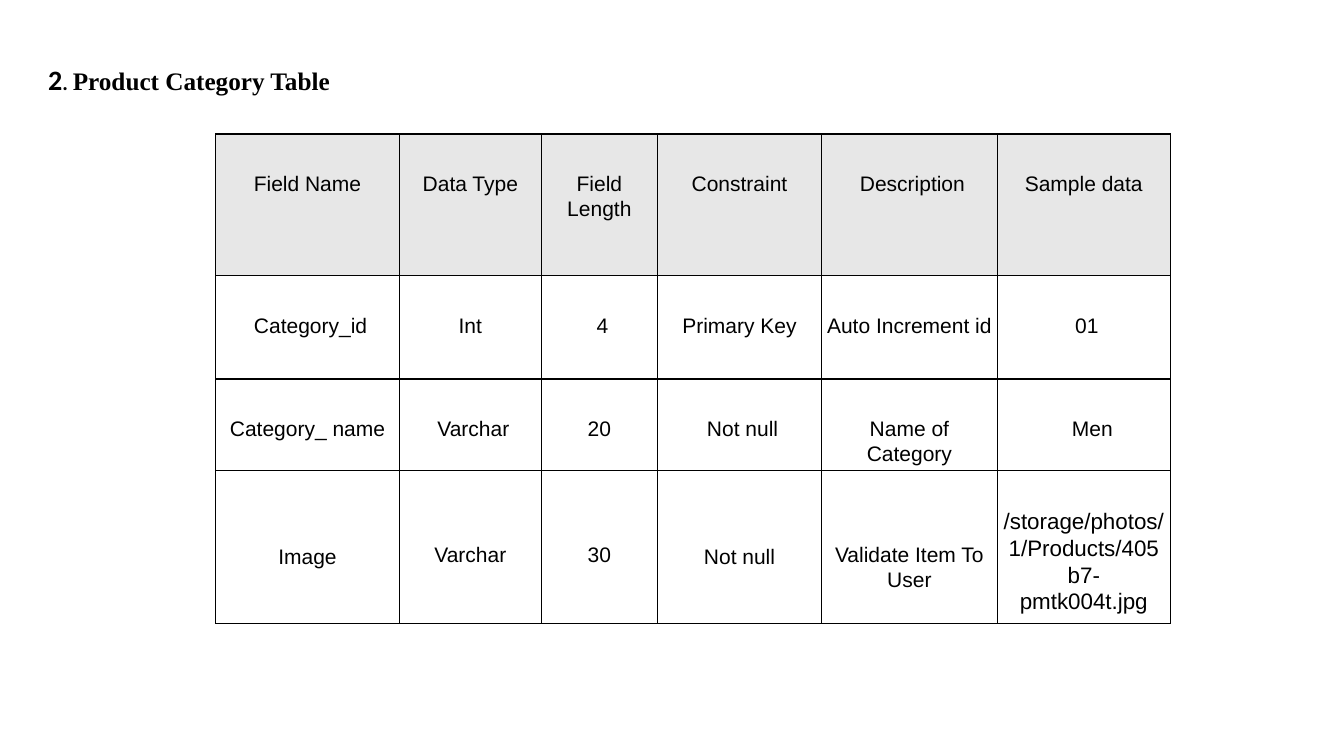
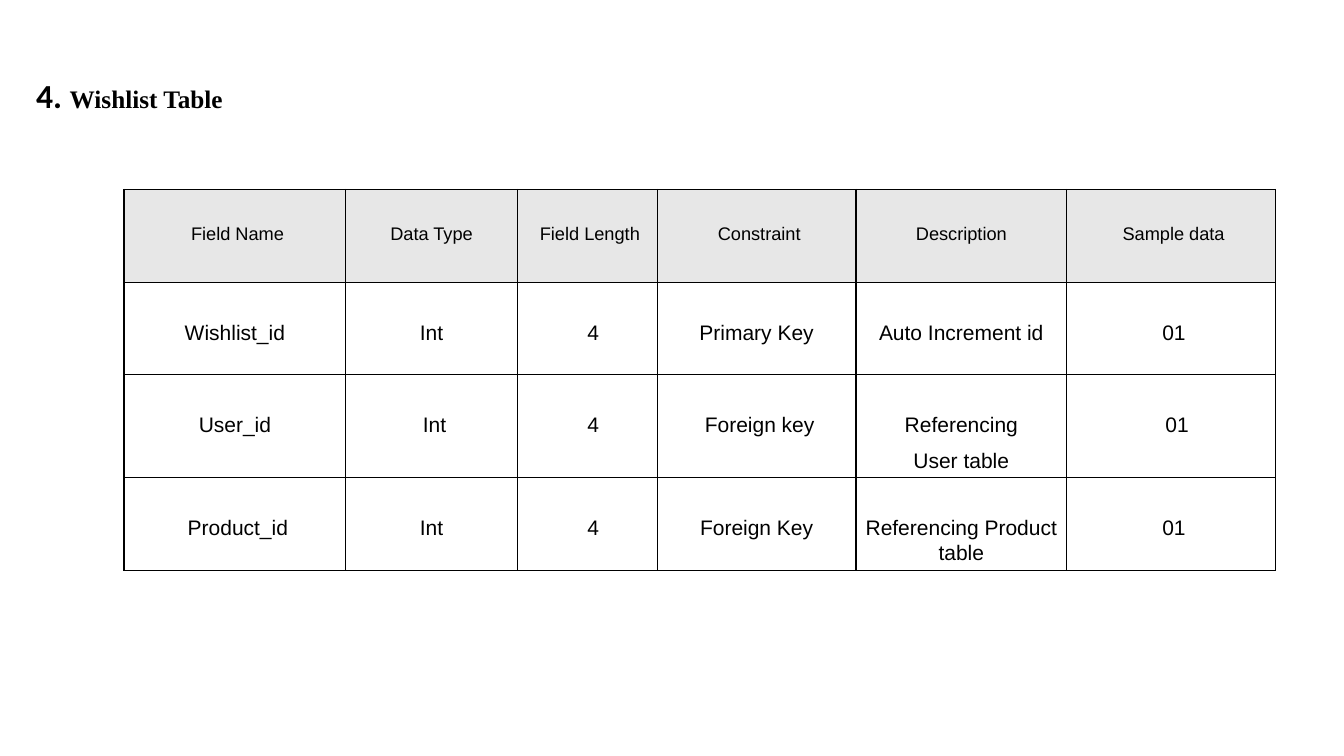
from lxml.etree import SubElement
from pptx import Presentation
from pptx.dml.color import RGBColor
from pptx.enum.text import MSO_ANCHOR, MSO_AUTO_SIZE, PP_ALIGN
from pptx.oxml.ns import qn
from pptx.util import Inches, Pt

BLACK = "000000"
HEADER_FILL = "E7E7E7"
CELL_MARGIN = 0.05
BODY_SIZE = 15
BODY_DROP = 0.37  # space above the text of a cell
HEADINGS = ["Field Name", "Data Type", "Field Length", "Constraint", "Description", "Sample data"]


def add_text(paragraph, text, size=BODY_SIZE, font="Arial", bold=False, color=BLACK):
    run = paragraph.add_run()
    run.text = text
    run.font.size = Pt(size)
    run.font.name = font
    run.font.bold = bold
    run.font.color.rgb = RGBColor.from_string(color)


def add_borders(cell, color=BLACK, width=1):
    properties = cell._tc.get_or_add_tcPr()
    for side in ("lnL", "lnR", "lnT", "lnB"):
        line = SubElement(properties, qn(f"a:{side}"), w=str(Pt(width)))
        SubElement(SubElement(line, qn("a:solidFill")), qn("a:srgbClr"), val=color)


# nudges: extra left margin by (row, column); sizes and drops: exceptions to the body values
schemas = [
    {
        "title": [("2", 20, "Calibri"), (". ", 15, "Calibri"),
                  ("Product Category Table", 18, "Times New Roman")],
        "title_box": (0.38, 0.24, 7.92, 0.88),
        "corner": (2.14, 1.33),
        "columns": [1.82, 1.41, 1.15, 1.63, 1.74, 1.72],
        "rows": [1.4, 1.03, 0.91, 1.52],
        "header": (15, 0.37),
        "fields": [
            ["Category_id", "Int", "4", "Primary Key", "Auto Increment id", "01"],
            ["Category_ name", "Varchar", "20", "Not null", "Name of Category", "Men"],
            ["Image", "Varchar", "30", "Not null", "Validate Item To User",
             "/storage/photos/ 1/Products/405 b7- pmtk004t.jpg"],
        ],
        "nudges": {(0, 4): 0.06, (1, 0): 0.06, (1, 2): 0.06, (1, 5): 0.06,
                   (2, 1): 0.06, (2, 3): 0.06, (2, 5): 0.17},
        "sizes": {(3, 5): 16},
        "drops": {(3, 0): 0.73, (3, 1): 0.71, (3, 2): 0.71, (3, 3): 0.73, (3, 4): 0.71},
    },
    {
        "title": [("4. ", 24, "Calibri"), ("Wishlist Table", 18, "Times New Roman")],
        "title_box": (0.26, 0.33, 7.79, 1.02),
        "corner": (1.23, 1.88),
        "columns": [2.2, 1.7, 1.39, 1.97, 2.09, 2.07],
        "rows": [0.92, 0.92, 1.02, 0.92],
        "header": (13, 0.33),
        "fields": [
            ["Wishlist_id", "Int", "4", "Primary Key", "Auto Increment id", "01"],
            ["User_id", "Int", "4", "Foreign key", "Referencing\nUser table", "01"],
            ["Product_id", "Int", "4", "Foreign Key", "Referencing Product table", "01"],
        ],
        "nudges": {(0, 0): 0.05, (0, 2): 0.05, (0, 3): 0.05, (0, 5): 0.05,
                   (1, 2): 0.12, (1, 5): 0.06,
                   (2, 1): 0.06, (2, 2): 0.12, (2, 3): 0.06, (2, 5): 0.12,
                   (3, 0): 0.06, (3, 2): 0.12, (3, 5): 0.06},
        "sizes": {},
        "drops": {},
    },
]

deck = Presentation()
deck.slide_width = Inches(13.33)
deck.slide_height = Inches(7.5)

for schema in schemas:
    slide = deck.slides.add_slide(deck.slide_layouts[6])

    title = slide.shapes.add_textbox(*map(Inches, schema["title_box"])).text_frame
    title.word_wrap = True
    title.auto_size = MSO_AUTO_SIZE.SHAPE_TO_FIT_TEXT
    title.vertical_anchor = MSO_ANCHOR.MIDDLE
    title.margin_top = Inches(0.21)
    title.margin_bottom = 0
    for text, size, font in schema["title"]:
        add_text(title.paragraphs[0], text, size=size, font=font, bold=True)

    columns, rows = schema["columns"], schema["rows"]
    left, top = schema["corner"]
    table = slide.shapes.add_table(
        len(rows), len(columns), Inches(left), Inches(top),
        Inches(sum(columns)), Inches(sum(rows))).table
    table.first_row = False
    table.horz_banding = False
    for column, width in zip(table.columns, columns):
        column.width = Inches(width)
    for row, height in zip(table.rows, rows):
        row.height = Inches(height)

    for r, values in enumerate([HEADINGS] + schema["fields"]):
        row_size, row_drop = (BODY_SIZE, BODY_DROP) if r else schema["header"]
        for c, value in enumerate(values):
            cell = table.cell(r, c)
            add_borders(cell)
            if r:
                cell.fill.background()
            else:
                cell.fill.solid()
                cell.fill.fore_color.rgb = RGBColor.from_string(HEADER_FILL)
            cell.margin_left = Inches(CELL_MARGIN + schema["nudges"].get((r, c), 0))
            cell.margin_right = Inches(CELL_MARGIN)
            cell.margin_top = Inches(schema["drops"].get((r, c), row_drop))
            cell.margin_bottom = 0
            for i, line in enumerate(value.split("\n")):
                frame = cell.text_frame
                paragraph = frame.add_paragraph() if i else frame.paragraphs[0]
                paragraph.alignment = PP_ALIGN.CENTER
                paragraph.line_spacing = 1.07
                if i:
                    paragraph.space_before = Pt(8)
                add_text(paragraph, line, size=schema["sizes"].get((r, c), row_size))

deck.save("out.pptx")
